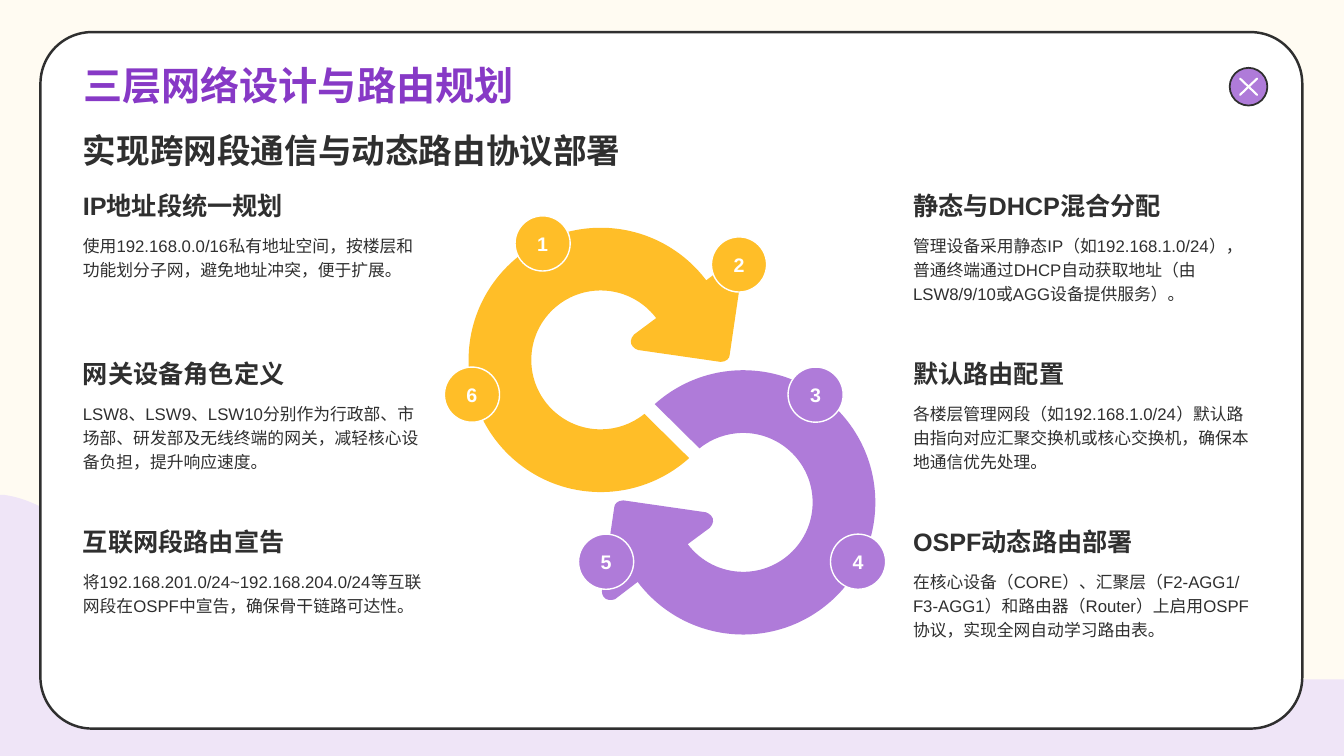
from math import cos, radians, sin, tan

from lxml.etree import Element, SubElement
from pptx import Presentation
from pptx.dml.color import RGBColor
from pptx.enum.lang import MSO_LANGUAGE_ID as Language
from pptx.enum.shapes import MSO_CONNECTOR as Connector, MSO_SHAPE as Shape
from pptx.enum.text import MSO_ANCHOR as Anchor, PP_ALIGN as Align
from pptx.oxml.ns import qn
from pptx.util import Cm, Pt

CREAM = RGBColor(0xFF, 0xFB, 0xF2)
LILAC = RGBColor(0xEF, 0xE5, 0xF7)
WHITE = RGBColor(0xFF, 0xFF, 0xFF)
DARK = RGBColor(0x2F, 0x2F, 0x2F)
YELLOW = RGBColor(0xFF, 0xBE, 0x28)
PURPLE = RGBColor(0xAF, 0x7B, 0xD9)
TITLE_PURPLE = RGBColor(0x87, 0x39, 0xC6)

# Lengths below are centimetres.
LEFT, RIGHT = 1.84, 22.76
ROW_TOP, ROW_PITCH = 4.6, 4.23
RING_CENTER, TURNED_CENTER = (15.14, 9.07), (18.73, 12.66)
OUTER_RADIUS, INNER_RADIUS = 3.33, 1.75

# An outline step is an end point, or two control points and an end point.
WAVE = [
    [(0, 12.47)], [(0.1, 12.47)],
    [(1.35, 12.65), (1.57, 13.51), (4.34, 13.72)],
    [(7.29, 13.94), (14.35, 13.54), (17.55, 13.82)],
    [(20.73, 14.07), (22.53, 14.81), (23.47, 15.34)],
    [(24.41, 15.88), (21.13, 16.76), (23.16, 17.07)],
    [(24.84, 17.3), (30, 17.12), (33.55, 17.12)],
    [(33.87, 17.12)], [(33.87, 19.05)], [(0, 19.05)],
]
ARROWHEAD = [
    [(3.23, -2.44)],
    [(3.28, -2.46), (3.33, -2.46), (3.38, -2.46)],
    [(3.51, -2.44), (3.56, -2.34), (3.56, -2.24)],
    [(3.25, -0.13)],
    [(3.25, -0.03), (3.15, 0.05), (3.02, 0.05)],
    [(0.94, -0.25)],
    [(0.84, -0.28), (0.74, -0.38), (0.76, -0.48)],
    [(0.76, -0.53), (0.79, -0.58), (0.84, -0.64)],
]
TOPICS = [
    (LEFT, 0, "IP地址段统一规划",
     "使用192.168.0.0/16私有地址空间，按楼层和功能划分子网，避免地址冲突，便于扩展。"),
    (RIGHT, 0, "静态与DHCP混合分配",
     "管理设备采用静态IP（如192.168.1.0/24），普通终端通过DHCP自动获取地址（由LSW8/9/10或AGG设备提供服务）。"),
    (RIGHT, 1, "默认路由配置",
     "各楼层管理网段（如192.168.1.0/24）默认路由指向对应汇聚交换机或核心交换机，确保本地通信优先处理。"),
    (RIGHT, 2, "OSPF动态路由部署",
     "在核心设备（CORE）、汇聚层（F2-AGG1/F3-AGG1）和路由器（Router）上启用OSPF协议，实现全网自动学习路由表。"),
    (LEFT, 2, "互联网段路由宣告",
     "将192.168.201.0/24~192.168.204.0/24等互联网段在OSPF中宣告，确保骨干链路可达性。"),
    (LEFT, 1, "网关设备角色定义",
     "LSW8、LSW9、LSW10分别作为行政部、市场部、研发部及无线终端的网关，减轻核心设备负担，提升响应速度。"),
]
BADGES = [
    (12.98, 5.44, YELLOW), (17.93, 5.97, YELLOW), (19.86, 9.25, PURPLE),
    (20.93, 13.46, PURPLE), (14.58, 13.46, PURPLE), (11.2, 9.25, YELLOW),
]


def write_text(frame, text, size=12, color=DARK, bold=False, align=Align.LEFT,
               anchor=Anchor.TOP, spacing=1.0, wrap=True):
    frame.word_wrap = wrap
    frame.vertical_anchor = anchor
    paragraph = frame.paragraphs[0]
    paragraph.alignment = align
    paragraph.line_spacing = spacing
    run = paragraph.add_run()
    run.text = text
    font = run.font
    font.name, font.size, font.bold = "Arial", Pt(size), bold
    font.color.rgb = color
    font.language_id = Language.SIMPLIFIED_CHINESE


def add_text(slide, left, top, width, height, text, **text_format):
    box = slide.shapes.add_textbox(Cm(left), Cm(top), Cm(width), Cm(height))
    write_text(box.text_frame, text, **text_format)


def paint(shape, fill, line=None, line_width=1):
    shape.shadow.inherit = False
    shape.fill.solid()
    shape.fill.fore_color.rgb = fill
    if line is None:
        shape.line.fill.background()
    else:
        shape.line.color.rgb = line
        shape.line.width = Pt(line_width)


def add_preset(slide, kind, left, top, width, height, fill, line, line_width):
    shape = slide.shapes.add_shape(kind, Cm(left), Cm(top), Cm(width), Cm(height))
    paint(shape, fill, line, line_width)
    return shape


def arc(radius, *angles):
    """Return one curve step for each pair of neighbouring angles, in degrees."""
    steps = []
    for start, end in zip(map(radians, angles), map(radians, angles[1:])):
        reach = 4 / 3 * tan((end - start) / 4)
        steps.append([
            (radius * (cos(start) - reach * sin(start)), radius * (sin(start) + reach * cos(start))),
            (radius * (cos(end) + reach * sin(end)), radius * (sin(end) - reach * cos(end))),
            (radius * cos(end), radius * sin(end)),
        ])
    return steps


def add_outline(slide, steps, fill):
    """Build straight segments, then bend those whose step has control points."""
    steps = [[(Cm(x), Cm(y)) for x, y in step] for step in steps]
    ends = [step[-1] for step in steps]
    builder = slide.shapes.build_freeform(*ends[0])
    builder.add_line_segments(ends[1:], close=True)
    shape = builder.convert_to_shape()
    segments = list(shape._element.iter(qn("a:lnTo")))
    for segment, step in zip(segments, steps[1:]):
        if len(step) == 3:
            segment.tag = qn("a:cubicBezTo")
            for index, (x, y) in enumerate(step[:2]):
                point = Element(qn("a:pt"), x=str(x - shape.left), y=str(y - shape.top))
                segment.insert(index, point)
    paint(shape, fill)


def add_ring_arrow(slide, center, fill, turn=1):
    """Draw the curved arrow; turn=-1 rotates it by half a circle."""
    tail = [(OUTER_RADIUS * cos(radians(48)), OUTER_RADIUS * sin(radians(48)))]
    inner_start = [(INNER_RADIUS * cos(radians(-37)), INNER_RADIUS * sin(radians(-37)))]
    steps = [tail, *arc(OUTER_RADIUS, 48, 90, 180, 270, 323), *ARROWHEAD,
             inner_start, *arc(INNER_RADIUS, -37, -90, -180, -270, -309)]
    add_outline(slide, [[(center[0] + turn * x, center[1] + turn * y) for x, y in step]
                        for step in steps], fill)


def add_line(slide, x1, y1, x2, y2, color, width):
    line = slide.shapes.add_connector(Connector.STRAIGHT, Cm(x1), Cm(y1), Cm(x2), Cm(y2))
    line.line.color.rgb = color
    line.line.width = Pt(width)
    line.line._get_or_add_ln().set("cap", "rnd")
    SubElement(line._element.spPr, qn("a:effectLst"))


def add_close_button(slide):
    add_preset(slide, Shape.OVAL, 30.99, 1.71, 0.95, 0.95, PURPLE, DARK, 1.25)
    left, top, right, bottom = 31.25, 1.98, 31.68, 2.39
    add_line(slide, left, top, right, bottom, WHITE, 1.5)
    add_line(slide, left, bottom, right, top, WHITE, 1.5)


def add_badge(slide, number, left, top, fill):
    badge = add_preset(slide, Shape.OVAL, left, top, 1.39, 1.39, fill, WHITE, 1)
    write_text(badge.text_frame, str(number), size=14, color=WHITE, bold=True,
               align=Align.CENTER, anchor=Anchor.MIDDLE, wrap=False)


def add_topic(slide, left, row, heading, body):
    top = ROW_TOP + row * ROW_PITCH
    add_text(slide, left, top, 9.22, 1.1, heading, size=18, bold=True,
             anchor=Anchor.MIDDLE, spacing=1.1)
    add_text(slide, left, top + 1.11, 9.22, 2.87, body, spacing=1.2)


def place_title(slide, text):
    title = slide.shapes.title
    title.left, title.top, title.width, title.height = Cm(LEFT), Cm(0.36), Cm(30.18), Cm(2.49)
    write_text(title.text_frame, text, size=28, color=TITLE_PURPLE, bold=True,
               anchor=Anchor.BOTTOM)
    slide.shapes._spTree.append(title._element)  # in front of the panel


def main():
    presentation = Presentation()
    presentation.slide_width, presentation.slide_height = Cm(33.87), Cm(19.05)
    slide = presentation.slides.add_slide(presentation.slide_layouts[5])
    slide.background.fill.solid()
    slide.background.fill.fore_color.rgb = CREAM

    add_outline(slide, WAVE, LILAC)
    panel = add_preset(slide, Shape.ROUNDED_RECTANGLE, 1.02, 0.81, 31.8, 17.55,
                       WHITE, DARK, 1.75)
    panel.adjustments[0] = 0.074
    add_close_button(slide)
    add_ring_arrow(slide, RING_CENTER, YELLOW)
    add_ring_arrow(slide, TURNED_CENTER, PURPLE, turn=-1)

    place_title(slide, "三层网络设计与路由规划")
    add_text(slide, LEFT, 3.13, 30.18, 1.3, "实现跨网段通信与动态路由协议部署",
             size=24, bold=True, anchor=Anchor.MIDDLE)
    for topic in TOPICS:
        add_topic(slide, *topic)
    for number, badge in enumerate(BADGES, start=1):
        add_badge(slide, number, *badge)
    presentation.save("out.pptx")


if __name__ == "__main__":
    main()
